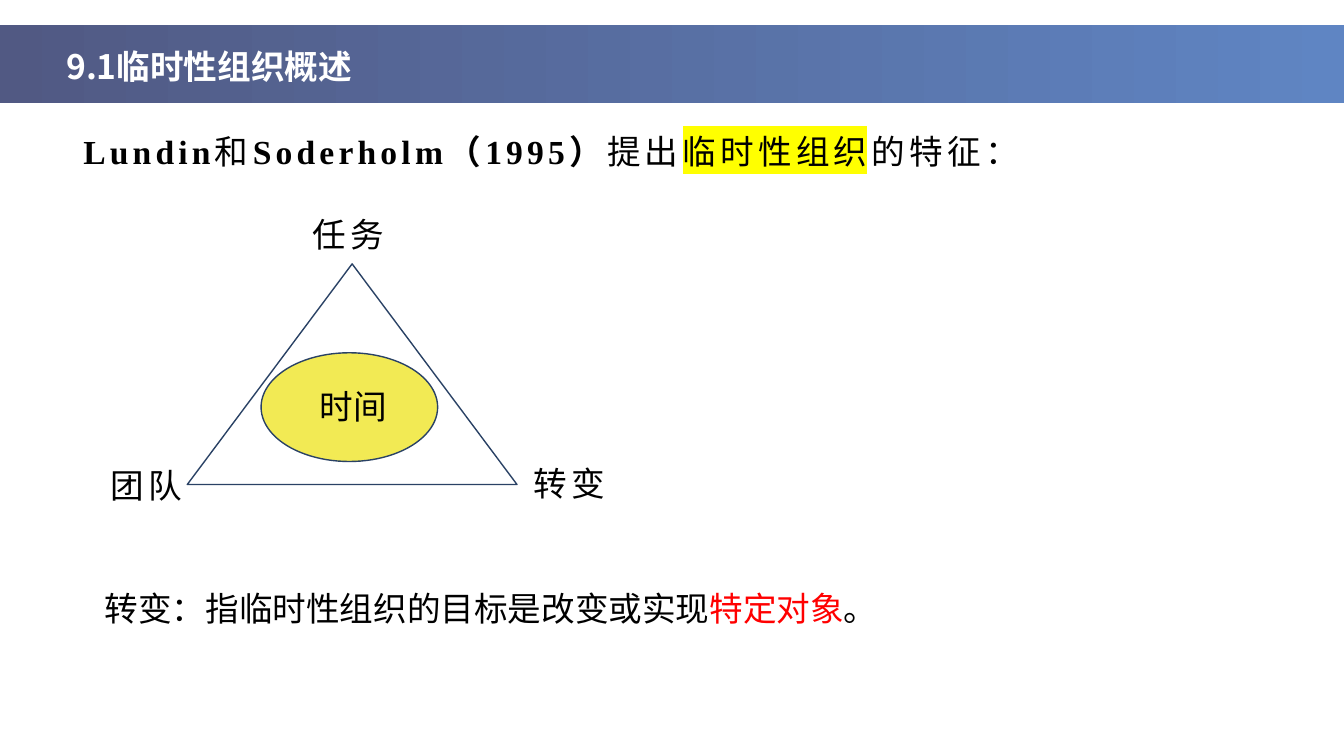
from lxml.etree import SubElement
from pptx import Presentation
from pptx.dml.color import RGBColor
from pptx.enum.shapes import MSO_SHAPE
from pptx.enum.text import MSO_ANCHOR, MSO_AUTO_SIZE, PP_ALIGN
from pptx.oxml.ns import qn
from pptx.util import Cm, Pt

COLORS = {
    "black": "000000", "white": "FFFFFF", "red": "FF0000", "marker": "FFFF00",
    "outline": "2A4265", "core": "F2EA54", "band_start": "515983", "band_end": "5F85C3",
}
SANS = "Noto Sans CJK SC"
SERIF = "Times New Roman"
SPACED = {"spacing": 300}
LATIN = {"font": SERIF, "bold": True, **SPACED}

TITLE = [("9.1临时性组织概述", {"color": "white", "bold": True})]
HEADING = [
    ("Lundin", LATIN),
    ("和", SPACED),
    ("Soderholm（1995）", LATIN),
    ("提出", SPACED),
    ("临时性组织", {"highlight": "marker", **SPACED}),
    ("的特征：", SPACED),
]
CORE = [("时间", {})]
CORNERS = [("任务", 7.49, 5.26), ("团队", 2.39, 11.58), ("转变", 13.06, 11.53)]
CORNER_SIZE = (2.59, 1.27)
DEFINITION = [
    ("转变：指临时性组织的目标是改变或实现", {}),
    ("特定对象", {"color": "red"}),
    ("。", {}),
]


def rgb(name):
    return RGBColor.from_string(COLORS[name])


def add_run(paragraph, text, color="black", font=SANS, bold=False, spacing=0, highlight=None):
    run = paragraph.add_run()
    run.text = text
    run.font.size = Pt(24)
    run.font.bold = bold
    run.font.color.rgb = rgb(color)
    properties = run.font._element
    if spacing:
        properties.set("spc", str(spacing))
    if highlight:
        marker = SubElement(properties, qn("a:highlight"))
        SubElement(marker, qn("a:srgbClr"), val=COLORS[highlight])
    SubElement(properties, qn("a:latin"), typeface=font)
    SubElement(properties, qn("a:ea"), typeface=SANS)


def write(shape, runs, align=PP_ALIGN.LEFT, anchor=MSO_ANCHOR.TOP, line_spacing=1.0):
    shape.text_frame.vertical_anchor = anchor
    paragraph = shape.text_frame.paragraphs[0]
    paragraph.alignment = align
    paragraph.line_spacing = line_spacing
    for text, style in runs:
        add_run(paragraph, text, **style)


def add_text(slide, box, runs, wrap=True, **layout):
    shape = slide.shapes.add_textbox(*map(Cm, box))
    shape.text_frame.word_wrap = wrap
    shape.text_frame.auto_size = MSO_AUTO_SIZE.SHAPE_TO_FIT_TEXT
    write(shape, runs, **layout)
    return shape


def add_figure(slide, kind, box, fill=None, line=None):
    shape = slide.shapes.add_shape(kind, *map(Cm, box))
    shape.shadow.inherit = False
    if fill:
        shape.fill.solid()
        shape.fill.fore_color.rgb = rgb(fill)
    else:
        shape.fill.background()
    if line:
        shape.line.color.rgb = rgb(line)
        shape.line.width = Pt(1)
    else:
        shape.line.fill.background()
    return shape


def add_band(slide):
    band = add_figure(slide, MSO_SHAPE.RECTANGLE, (0, 0.64, 33.87, 1.96))
    band.fill.gradient()
    band.fill.gradient_angle = 0
    for stop, position, color in zip(band.fill.gradient_stops, (0, 1), ("band_start", "band_end")):
        stop.position = position
        stop.color.rgb = rgb(color)


def main():
    presentation = Presentation()
    presentation.slide_width = Cm(33.87)
    presentation.slide_height = Cm(19.05)
    slide = presentation.slides.add_slide(presentation.slide_layouts[6])

    add_figure(slide, MSO_SHAPE.OVAL, (6.58, 8.89, 4.45, 2.74), "core", "outline")
    add_band(slide)
    add_text(slide, (1.42, 1.02, 14.45, 1.27), TITLE)
    heading = add_text(slide, (1.85, 3.18, 24.49, 1.14), HEADING,
                       wrap=False, anchor=MSO_ANCHOR.MIDDLE)
    heading.text_frame.margin_bottom = 0

    add_figure(slide, MSO_SHAPE.ISOSCELES_TRIANGLE, (4.72, 6.65, 8.31, 5.56), line="outline")
    core = add_figure(slide, MSO_SHAPE.OVAL, (6.73, 8.89, 4.34, 2.67))
    write(core, CORE, PP_ALIGN.CENTER, MSO_ANCHOR.MIDDLE)
    for text, left, top in CORNERS:
        add_text(slide, (left, top, *CORNER_SIZE), [(text, SPACED)], align=PP_ALIGN.CENTER)

    add_text(slide, (2.39, 14.17, 29.74, 1.63), DEFINITION, line_spacing=1.5)
    presentation.save("out.pptx")


if __name__ == "__main__":
    main()
